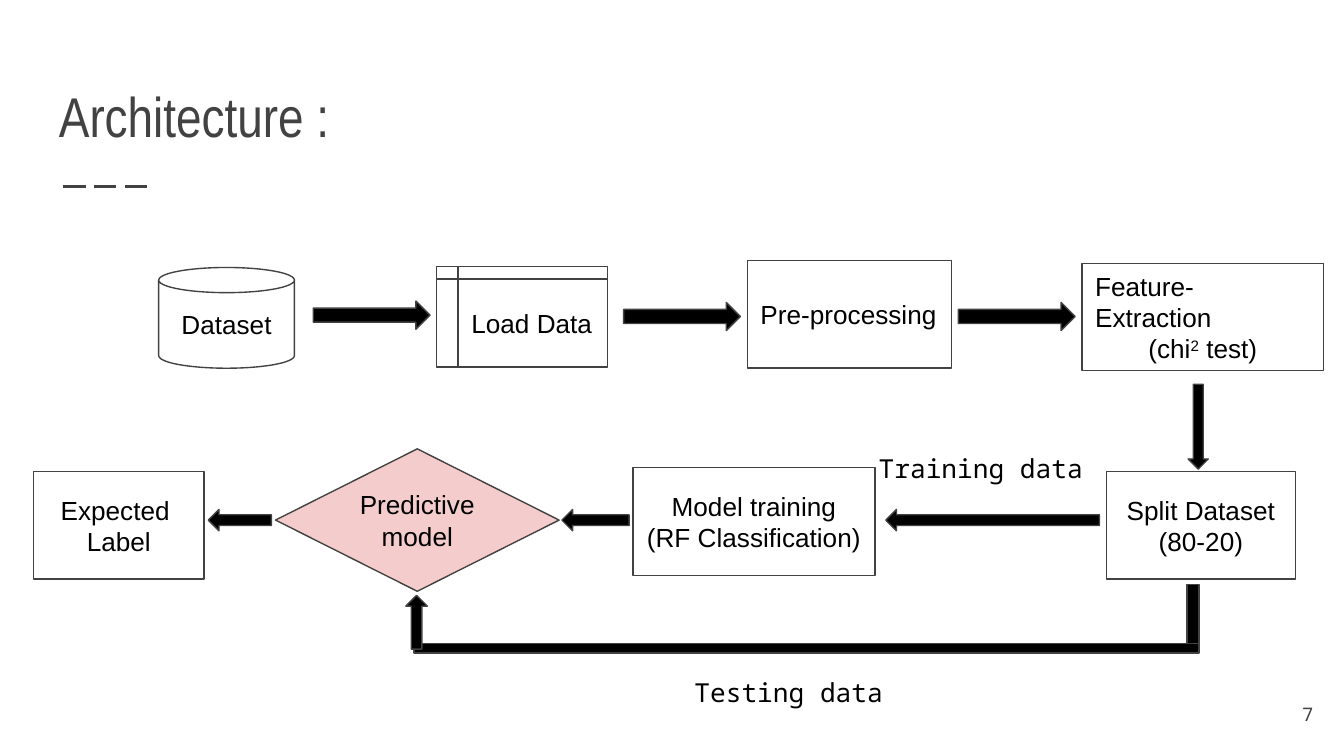
from lxml.etree import SubElement
from pptx import Presentation
from pptx.dml.color import RGBColor
from pptx.enum.dml import MSO_LINE
from pptx.enum.shapes import MSO_CONNECTOR, MSO_SHAPE as Shape
from pptx.enum.text import MSO_ANCHOR as Anchor, MSO_AUTO_SIZE, PP_ALIGN as Align
from pptx.oxml.ns import qn
from pptx.util import Pt

COLORS = {"ink": "424242", "black": "000000", "white": "FFFFFF", "pink": "F4CCCC"}
MONO = "Noto Sans Mono"
ARROW_HEIGHT = 11.5


def rgb(name):
    """Return the palette color with this name."""
    return RGBColor.from_string(COLORS[name])


def write(owner, lines, size=14, font="Arial", color="black",
          aligns=(Align.CENTER,), anchor=Anchor.MIDDLE):
    """Fill a text frame with one paragraph per line."""
    frame = owner.text_frame
    frame.word_wrap = True
    frame.vertical_anchor = anchor
    frame.margin_left = frame.margin_right = Pt(7.2)
    frame.margin_top = frame.margin_bottom = Pt(7.2)
    frame.text = "\n".join(lines)
    for index, paragraph in enumerate(frame.paragraphs):
        paragraph.alignment = aligns[min(index, len(aligns) - 1)]
        paragraph.font.size = Pt(size)
        paragraph.font.name = font
        paragraph.font.color.rgb = rgb(color)
    return frame


def add_block(slide, kind, left, top, width, height, fill="white"):
    """Add a thinly outlined shape."""
    block = slide.shapes.add_shape(kind, Pt(left), Pt(top), Pt(width), Pt(height))
    block.shadow.inherit = False
    block.fill.solid()
    block.fill.fore_color.rgb = rgb(fill)
    block.line.color.rgb = rgb("ink")
    block.line.width = Pt(0.75)
    return block


def add_arrow(slide, left, top, width, height=ARROW_HEIGHT, rotation=0):
    """Add a black block arrow turned by the given angle."""
    arrow = add_block(slide, Shape.RIGHT_ARROW, left, top, width, height, "black")
    arrow.rotation = rotation


def add_text(slide, left, top, width, height, text, **style):
    """Add a text box holding one line."""
    box = slide.shapes.add_textbox(Pt(left), Pt(top), Pt(width), Pt(height))
    return write(box, [text], **style)


def add_flow_label(slide, left, top, text):
    """Add a monospaced label for a data flow."""
    frame = add_text(slide, left, top, 124.6, 31.7, text, font=MONO,
                     aligns=(Align.LEFT,), anchor=Anchor.TOP)
    frame.auto_size = MSO_AUTO_SIZE.SHAPE_TO_FIT_TEXT


def add_heading(slide, left, top, width, height):
    """Place the title and the dashed rule below it."""
    rule_top = Pt(top + height + 13)
    rule = slide.shapes.add_connector(MSO_CONNECTOR.STRAIGHT, Pt(left + 9.3), rule_top,
                                      Pt(left + 57.6), rule_top)
    rule.line.color.rgb = rgb("ink")
    rule.line.width = Pt(1.5)
    rule.line.dash_style = MSO_LINE.LONG_DASH
    SubElement(rule.element.spPr, qn("a:effectLst"))
    add_text(slide, left, top, width, height, "Architecture :", size=30,
             font="Arial Narrow", color="ink", aligns=(Align.LEFT,), anchor=Anchor.BOTTOM)


def add_preparation_row(slide, left, top):
    """Place the steps from the dataset to feature extraction."""
    steps = [
        (Shape.CAN, 0, 3.6, 72.7, 54, ["Dataset"], (Align.CENTER,)),
        (Shape.FLOWCHART_INTERNAL_STORAGE, 149, 3, 91.4, 54, ["Load Data"], (Align.LEFT,)),
        (Shape.RECTANGLE, 315.3, 0, 109.4, 57.6, ["Pre-processing"], (Align.LEFT,)),
        (Shape.RECTANGLE, 494.6, 1.4, 129.6, 57.6, ["Feature-Extraction", "(chi"],
         (Align.LEFT, Align.CENTER)),
    ]
    for kind, x, y, width, height, lines, aligns in steps:
        block = add_block(slide, kind, left + x, top + y, width, height)
        frame = write(block, lines, aligns=aligns)
    chi_line = frame.paragraphs[1]
    exponent = chi_line.add_run()
    exponent.text = "2"
    exponent.font._element.set("baseline", "30000")
    chi_line.add_run().text = " test)"
    for x, y in ((82.8, 21.6), (249.1, 22.3), (428.4, 22.3)):
        add_arrow(slide, left + x, top + y, 62.6, 15.1)


def add_model_row(slide, left, top):
    """Place the steps from the split dataset back to the expected label."""
    steps = [
        (Shape.RECTANGLE, 574.6, 12.2, 101.5, 57.6, ["Split Dataset", "(80-20)"], "white"),
        (Shape.RECTANGLE, 321.1, 10.1, 129.6, 57.6,
         ["Model training", "(RF Classification)"], "white"),
        (Shape.DIAMOND, 129.6, 0, 151.9, 76.3, ["Predictive model"], "pink"),
        (Shape.RECTANGLE, 0, 12.2, 91.4, 57.6, ["Expected ", "Label"], "white"),
    ]
    for kind, x, y, width, height, lines, fill in steps:
        write(add_block(slide, kind, left + x, top + y, width, height, fill), lines)
    for x, width in ((456.5, 114.5), (283, 36), (93.6, 33.8)):
        add_arrow(slide, left + x, top + 32.4, width, rotation=180)
    add_arrow(slide, left + 601.2, top - 17.3, 45.4, 10.8, rotation=90)
    add_flow_label(slide, left + 445.7, top - 5.1, "Training data")


def add_testing_path(slide, left, top):
    """Place the path that carries testing data to the model."""
    add_block(slide, Shape.RECTANGLE, left + 427, top, 6.5, 31.7, "black")
    add_block(slide, Shape.RECTANGLE, left + 13, top + 31.7, 420.5, 5, "black")
    add_arrow(slide, left, top + 14.4, 28.8, rotation=270)
    add_flow_label(slide, left + 156.2, top + 41.8, "Testing data")


def main():
    """Build and save the architecture slide."""
    deck = Presentation()
    deck.slide_width, deck.slide_height = Pt(720), Pt(405)
    slide = deck.slides.add_slide(deck.slide_layouts[6])
    add_heading(slide, 24.5, 29.5, 671, 57.6)
    add_preparation_row(slide, 85, 139.7)
    add_model_row(slide, 18, 240.5)
    add_testing_path(slide, 208.8, 313.2)
    add_text(slide, 667.4, 367.2, 43.2, 31, "7", size=10, font=MONO, color="ink",
             aligns=(Align.RIGHT,))
    deck.save("out.pptx")


if __name__ == "__main__":
    main()
